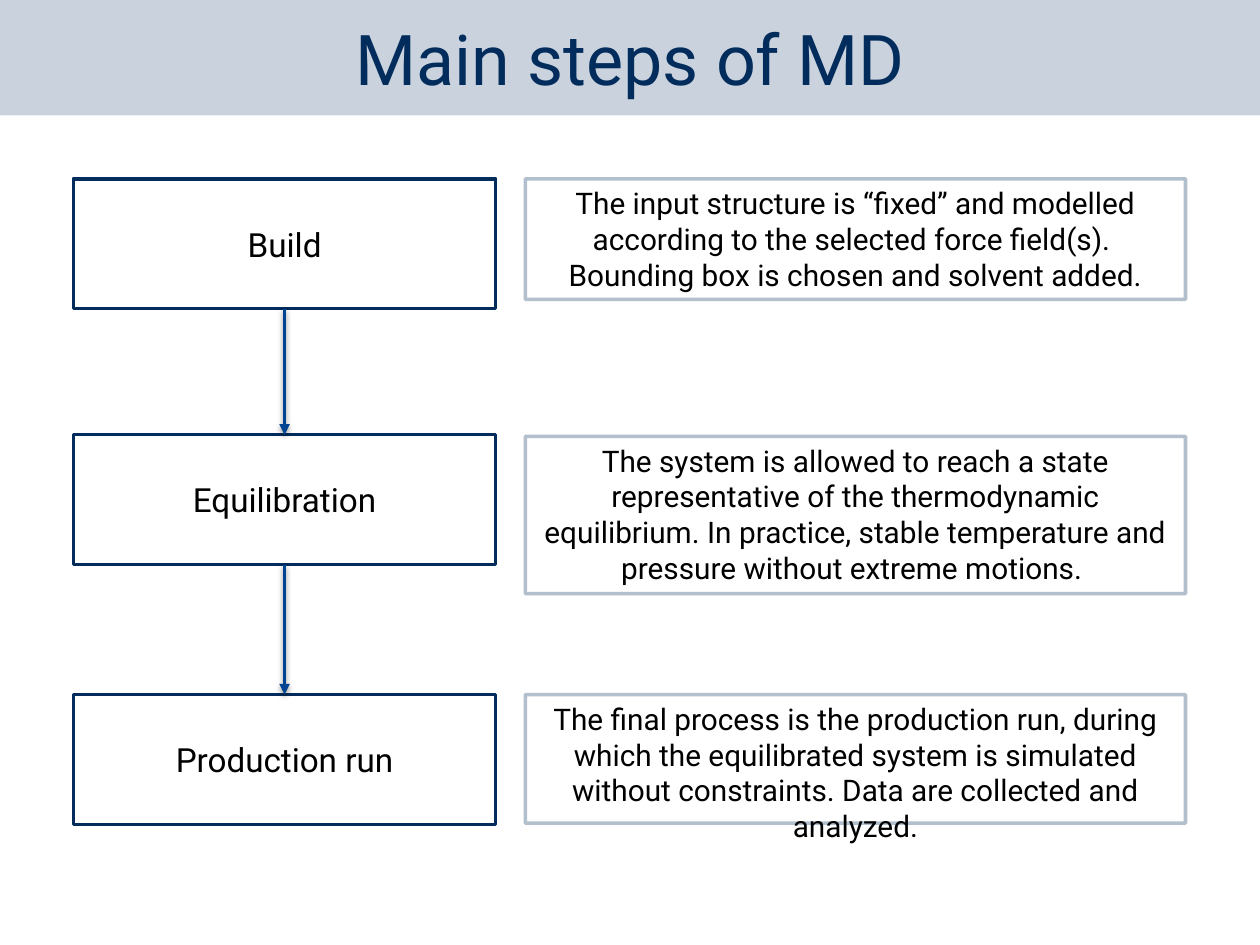
from dataclasses import dataclass
from lxml.etree import SubElement
from pptx import Presentation
from pptx.dml.color import RGBColor as RGB
from pptx.enum.shapes import MSO_CONNECTOR as Link, MSO_SHAPE as Shape
from pptx.enum.text import MSO_ANCHOR as Anchor, MSO_AUTO_SIZE as Fit, PP_ALIGN as Align
from pptx.oxml.ns import qn
from pptx.util import Pt


@dataclass(frozen=True)
class Theme:
    font: str = "Roboto"
    band: str = "002F5F"
    navy: str = "022C5C"
    blue: str = "004393"
    ink: str = "000000"
    paper: str = "FFFFFF"
    head: float = 40
    step: float = 19
    note: float = 17
    rule: float = 2


class Deck:
    def __init__(self, theme):
        self.theme = theme
        self.prs = Presentation()
        self.prs.slide_width, self.prs.slide_height = Pt(720), Pt(540)
        self.slide = self.prs.slides.add_slide(self.prs.slide_layouts[5])

    def paint(self, fill, color):
        fill.solid()
        fill.fore_color.rgb = RGB.from_string(color)

    def fade(self, node, alpha):
        color = node.find(qn("a:solidFill"))[0]
        SubElement(color, qn("a:alpha"), val=str(alpha * 1000))

    def label(self, shape, text, size, color, anchor):
        frame = shape.text_frame
        frame.text = text
        form = dict(word_wrap=True, auto_size=Fit.NONE, vertical_anchor=anchor)
        for key, val in form.items():
            setattr(frame, key, val)
        for par in frame.paragraphs:
            par.alignment = Align.CENTER
            for run in par.runs:
                for key, val in dict(name=self.theme.font, size=Pt(size)).items():
                    setattr(run.font, key, val)
                run.font.color.rgb = RGB.from_string(color)

    def title(self, text, high):
        shape = self.slide.shapes.title
        place = dict(left=0, top=0, width=self.prs.slide_width, height=Pt(high))
        for key, val in place.items():
            setattr(shape, key, val)
        self.paint(shape.fill, self.theme.band)
        self.fade(shape.element.spPr, 21)
        self.label(shape, text, self.theme.head, self.theme.navy, Anchor.MIDDLE)

    def box(self, text, place, size, anchor, alpha=100):
        shape = self.slide.shapes.add_shape(Shape.RECTANGLE, *map(Pt, place))
        shape.shadow.inherit = False
        self.paint(shape.fill, self.theme.paper)
        self.paint(shape.line.fill, self.theme.navy)
        self.fade(shape.get_or_add_ln(), alpha)
        shape.line.width = Pt(self.theme.rule)
        self.label(shape, text, size, self.theme.ink, anchor)
        return shape

    def arrow(self, start, end):
        line = self.slide.shapes.add_connector(Link.STRAIGHT, 0, 0, 0, 0)
        line.begin_connect(start, 2)
        line.end_connect(end, 0)
        self.paint(line.line.fill, self.theme.blue)
        line.line.width = Pt(self.theme.rule)
        SubElement(line.get_or_add_ln(), qn("a:tailEnd"), type="triangle")
        # Soft shadow straight below the line
        effects = SubElement(line.element.spPr, qn("a:effectLst"))
        shadow = SubElement(effects, qn("a:outerShdw"), blurRad=str(int(Pt(3.1))),
                            dist=str(int(Pt(1.6))), dir="5400000", rotWithShape="0")
        color = SubElement(shadow, qn("a:srgbClr"), val=self.theme.ink)
        SubElement(color, qn("a:alpha"), val="38000")


# Step name, step top, note top, note height, note text
STEPS = [
    ("Build", 102.2, 102.2, 69,
     "The input structure is “fixed” and modelled according to the selected "
     "force field(s). \vBounding box is chosen and solvent added."),
    ("Equilibration", 248.4, 249.3, 90,
     "The system is allowed to reach a state representative of the thermodynamic "
     "equilibrium. In practice, stable temperature and pressure without extreme motions. "),
    ("Production run", 396.9, 396.9, 73.5,
     "The final process is the production run, during which the equilibrated system "
     "is simulated without constraints. Data are collected and analyzed."),
]


def main():
    theme = Theme()
    deck = Deck(theme)
    deck.title("Main steps of MD", 66)

    # Flow of steps on the left
    flow = [deck.box(name, (42, top, 241.2, 74.2), theme.step, Anchor.MIDDLE)
            for name, top, *_ in STEPS]
    for start, end in zip(flow, flow[1:]):
        deck.arrow(start, end)

    # Notes on the right
    for _, _, top, high, text in STEPS:
        deck.box(text, (300.2, top, 377.3, high), theme.note, Anchor.TOP, 30)

    deck.prs.save("out.pptx")


if __name__ == "__main__":
    main()
